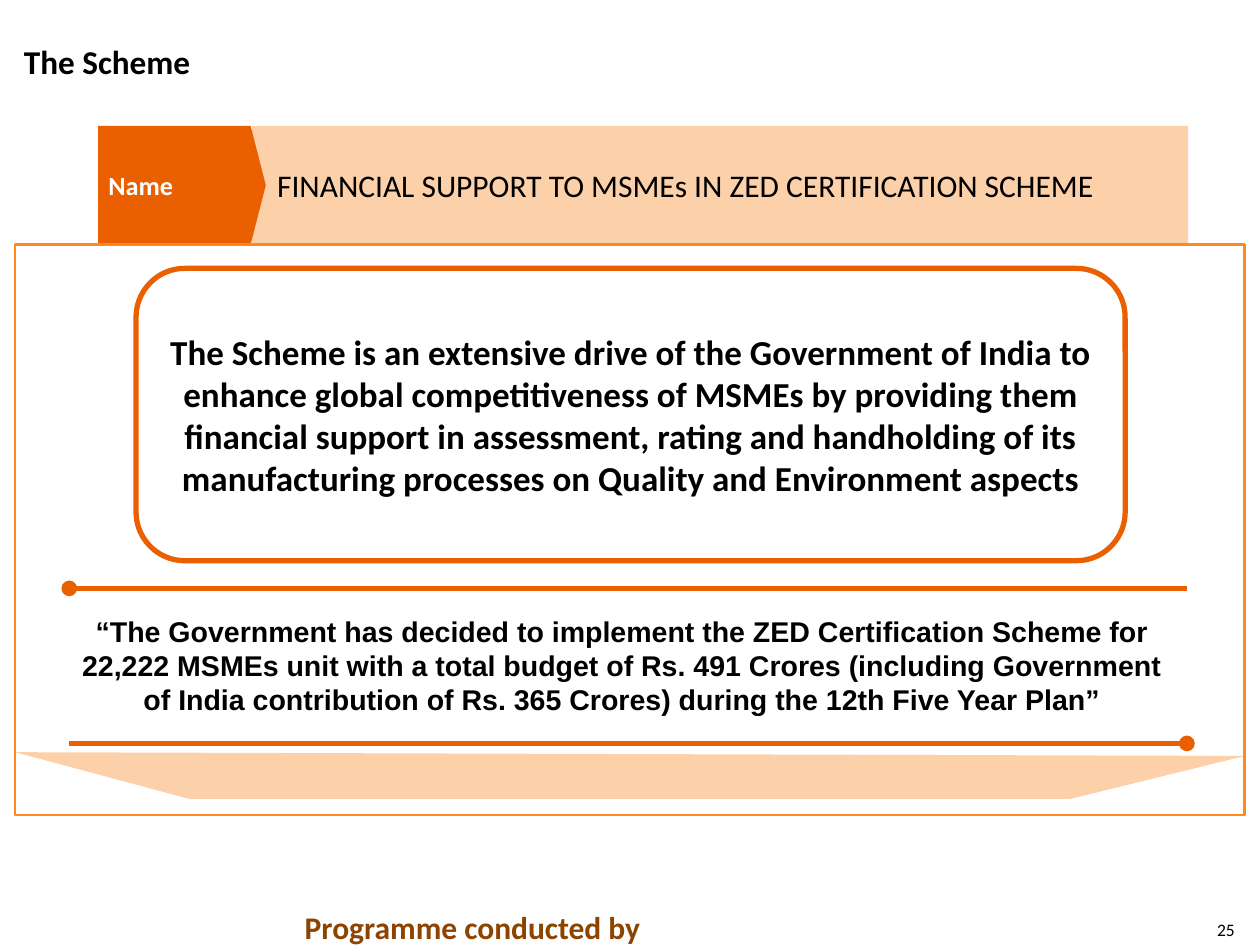
from dataclasses import dataclass

from lxml import etree
from pptx import Presentation
from pptx import util as u
from pptx.dml.color import RGBColor
from pptx.enum import shapes, text
from pptx.oxml import ns

PX = 9144
LEFT, CENTER, RIGHT = text.PP_ALIGN.LEFT, text.PP_ALIGN.CENTER, text.PP_ALIGN.RIGHT
TOP, MIDDLE, BOTTOM = text.MSO_ANCHOR.TOP, text.MSO_ANCHOR.MIDDLE, text.MSO_ANCHOR.BOTTOM


@dataclass(frozen=True)
class Theme:
    """Colours, fonts and type sizes of the slide."""
    ink: str = "000000"
    paper: str = "FFFFFF"
    accent: str = "EA5F00"
    tint: str = "FCD1AA"
    frame: str = "FF891B"
    footer: str = "8D4400"
    body_font: str = "Calibri"
    quote_font: str = "Arial"
    title_size: float = 19
    banner_size: float = 18
    label_size: float = 15
    summary_size: float = 20
    quote_size: float = 16.3
    footer_size: float = 18
    number_size: float = 10
    thin: float = 1.5
    thick: float = 3


THEME = Theme()


def emu(*lengths):
    """Turn px lengths into EMU."""
    return [u.Emu(length * PX) for length in lengths]


def write(shape, words, size, color=THEME.ink, bold=False, font=THEME.body_font,
          align=LEFT, anchor=TOP, insets=(0, 0, 0, 0), wrap=True):
    """Fill a shape with one formatted paragraph."""
    frame = shape.text_frame
    frame.word_wrap = wrap
    frame.vertical_anchor = anchor
    frame.margin_left, frame.margin_top, frame.margin_right, frame.margin_bottom = emu(*insets)
    paragraph = frame.paragraphs[0]
    paragraph.text = words
    paragraph.alignment = align
    paragraph.font.name = font
    paragraph.font.size = u.Pt(size)
    paragraph.font.bold = bold
    paragraph.font.color.rgb = RGBColor.from_string(color)


def add_text(slide, box, words, size, **style):
    """Add a text box."""
    write(slide.shapes.add_textbox(*emu(*box)), words, size, **style)


def paint(shape, fill=None, line=None, width=THEME.thin):
    """Set fill and outline and drop the shadow."""
    shape.shadow.inherit = False
    if fill:
        shape.fill.solid()
        shape.fill.fore_color.rgb = RGBColor.from_string(fill)
    else:
        shape.fill.background()
    if line:
        shape.line.color.rgb = RGBColor.from_string(line)
        shape.line.width = u.Pt(width)
    else:
        shape.line.fill.background()


def add_box(slide, kind, box, **style):
    """Add a painted preset shape."""
    shape = slide.shapes.add_shape(kind, *emu(*box))
    paint(shape, **style)
    return shape


def add_outline(slide, points, fill):
    """Add a filled closed polygon."""
    builder = slide.shapes.build_freeform(*points[0], scale=PX)
    builder.add_line_segments(points[1:], close=True)
    paint(builder.convert_to_shape(), fill=fill)


def add_rule(slide, start_x, end_x, y):
    """Add a thick rule with a dot at its start."""
    rule = slide.shapes.add_connector(shapes.MSO_CONNECTOR.STRAIGHT, *emu(start_x, y, end_x, y))
    rule.line.color.rgb = RGBColor.from_string(THEME.accent)
    rule.line.width = u.Pt(THEME.thick)
    etree.SubElement(rule.line._get_or_add_ln(), ns.qn("a:headEnd"), type="oval")
    etree.SubElement(rule._element.spPr, ns.qn("a:effectLst"))


def add_furniture(slide, width, height):
    """Place the footer and the slide number."""
    add_text(slide, (width - 36, height - 21, 16, 17), "25", THEME.number_size,
             align=RIGHT, anchor=BOTTOM, wrap=False)
    add_text(slide, (232, height - 34, 289, 40), "Programme conducted by", THEME.footer_size,
             color=THEME.footer, bold=True, insets=(10, 5, 10, 5))


def add_base(slide, left, top, width, height):
    """Place the tapering band at the foot of the panel."""
    right, bottom, taper = left + width, top + height, 138
    add_outline(slide, [(left, top), (left + taper, bottom), (right - taper, bottom),
                        (right, top + 3)], THEME.tint)


def add_banner(slide, left, top, width, height):
    """Place the scheme name beside its pointed label."""
    band_offset, label_width, point = 122, 133, 12
    band = add_box(slide, shapes.MSO_SHAPE.RECTANGLE,
                   (left + band_offset, top, width - band_offset, height), fill=THEME.tint)
    write(band, "FINANCIAL SUPPORT TO MSMEs IN ZED CERTIFICATION SCHEME",
          THEME.banner_size, anchor=MIDDLE, insets=(20, 8, 8, 8))
    tip, shoulder, bottom = left + label_width, left + label_width - point, top + height
    add_outline(slide, [(left, top), (shoulder, top), (tip, top + height // 2),
                        (shoulder, bottom), (left, bottom)], THEME.accent)
    add_text(slide, (left + 4, top + 6, 111, height - 13), "Name", THEME.label_size,
             color=THEME.paper, bold=True, anchor=MIDDLE, insets=(4, 0, 0, 0))


def add_panel(slide, left, top, width, height):
    """Place the frame and the rounded summary inside it."""
    add_box(slide, shapes.MSO_SHAPE.RECTANGLE, (left, top, width, height), line=THEME.frame)
    margin = 96
    summary = add_box(slide, shapes.MSO_SHAPE.ROUNDED_RECTANGLE,
                      (left + margin, top + 19, width - 2 * margin + 1, 232),
                      fill=THEME.paper, line=THEME.accent, width=THEME.thick)
    write(summary, "The Scheme is an extensive drive of the Government of India to enhance "
          "global competitiveness of MSMEs by providing them financial support in assessment, "
          "rating and handholding of its manufacturing processes on Quality and Environment "
          "aspects", THEME.summary_size, bold=True, align=CENTER, anchor=MIDDLE,
          insets=(8, 8, 8, 8))


def add_quote(slide, left, top, width, height):
    """Place the quotation between two dotted rules."""
    add_text(slide, (left, top + 15, width - 9, 92),
             "“The Government has decided to implement the ZED Certification Scheme for 22,222 "
             "MSMEs unit with a total budget of Rs. 491 Crores (including Government of India "
             "contribution of Rs. 365 Crores) during the 12th Five Year Plan”",
             THEME.quote_size, bold=True, font=THEME.quote_font, align=CENTER,
             insets=(10, 5, 10, 5))
    add_rule(slide, left, left + width, top)
    add_rule(slide, left + width, left, top + height)


def main():
    """Build and save the slide."""
    width, height = 1000, 750
    presentation = Presentation()
    presentation.slide_width, presentation.slide_height = emu(width, height)
    slide = presentation.slides.add_slide(presentation.slide_layouts[6])
    add_furniture(slide, width, height)
    add_base(slide, 12, 597, 976, 37)
    add_text(slide, (19, 32, 765, 32), "The Scheme", THEME.title_size, bold=True, anchor=BOTTOM)
    add_banner(slide, 78, 100, 865, 94)
    add_panel(slide, 12, 194, 976, 453)
    add_quote(slide, 55, 467, 887, 123)
    presentation.save("out.pptx")


if __name__ == "__main__":
    main()
